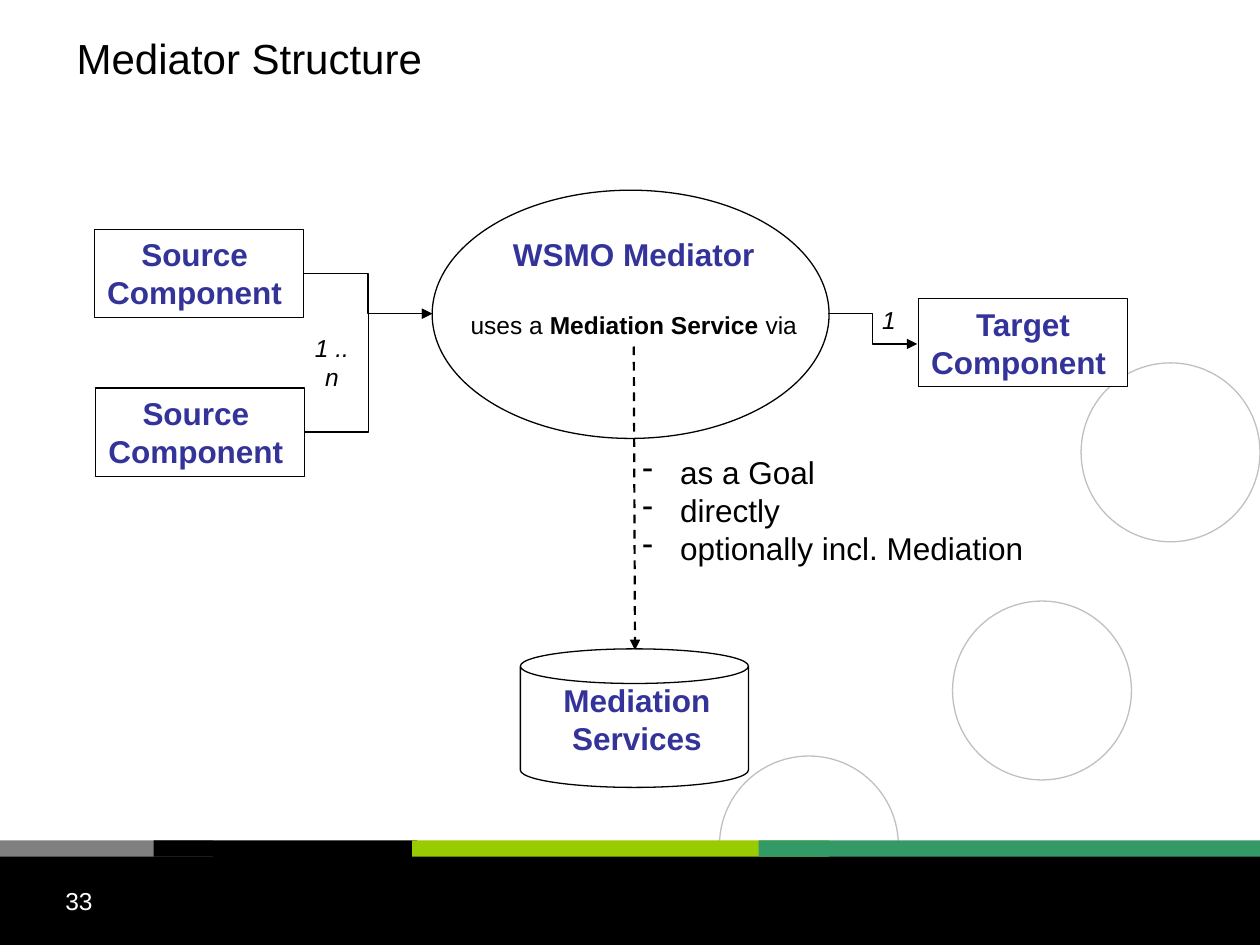
"""Build the Mediator Structure slide."""
from lxml import etree
from pptx import Presentation
from pptx import util as u
from pptx.dml import color
from pptx.enum import dml, shapes, text
from pptx.oxml import ns

Inches, Pt = u.Inches, u.Pt
C = {"black": "000000", "white": "FFFFFF", "blue": "333399", "silver": "C0C0C0",
     "gray": "808080", "lime": "99CC00", "green": "339966"}
C = {name: color.RGBColor.from_string(value) for name, value in C.items()}
MSO = shapes.MSO_SHAPE

prs = Presentation()
prs.slide_width, prs.slide_height = Inches(10), Inches(7.5)
s = prs.slides.add_slide(prs.slide_layouts[6])


def add_shape(kind, box, fill=None, line=None):
    sp = s.shapes.add_shape(kind, *map(Inches, box))
    sp.shadow.inherit = False
    if fill:
        sp.fill.solid()
        sp.fill.fore_color.rgb = C[fill]
    else:
        sp.fill.background()
    if line:
        sp.line.color.rgb = C[line]
        sp.line.width = Pt(0.75)
    else:
        sp.line.fill.background()
    return sp


def write(sp, lines, size=18, hue="black", bold=False, italic=False,
          align="CENTER", wrap=False, anchor="TOP"):
    tf = sp.text_frame
    tf.word_wrap = wrap
    tf.vertical_anchor = getattr(text.MSO_ANCHOR, anchor)
    for i, line in enumerate(lines):
        p = tf.paragraphs[0] if i == 0 else tf.add_paragraph()
        p.alignment = getattr(text.PP_ALIGN, align)
        p.add_run().text = line
        for f in (p.font, p.runs[0].font):
            f.name, f.size, f.bold, f.italic = "Arial", Pt(size), bold, italic
            f.color.rgb = C[hue]
    return tf


for x, y in [(5.71, 6), (7.56, 4.77), (8.58, 2.88)]:
    add_shape(MSO.OVAL, (x, y, 1.42, 1.42), line="silver")
add_shape(MSO.RECTANGLE, (0, 6.75, 10, 0.75), "black")
for x, w, hue in [(0, 1.69, "gray"), (1.22, 2.09, "black"),
                  (3.27, 3.31, "lime"), (6.02, 3.98, "green")]:
    add_shape(MSO.RECTANGLE, (x, 6.67, w, 0.13), hue)

add_shape(MSO.OVAL, (3.43, 1.51, 3.15, 1.97), "white", "black")
can = add_shape(MSO.CAN, (4.13, 5.15, 1.81, 1.1), "white", "black")
can.adjustments[0] = 0.25

for x, y, first in [(0.75, 1.82, "Source "), (0.76, 3.08, "Source "), (7.29, 2.37, "Target")]:
    sp = add_shape(MSO.RECTANGLE, (x, y, 1.66, 0.7), "white", "black")
    write(sp, [first, "Component "], hue="blue", bold=True)

ELBOW, STRAIGHT = shapes.MSO_CONNECTOR.ELBOW, shapes.MSO_CONNECTOR.STRAIGHT
for kind, ends, width in [(ELBOW, (2.41, 2.17, 3.43, 2.49), 0.75),
                          (ELBOW, (2.42, 3.43, 3.43, 2.49), 0.75),
                          (ELBOW, (6.57, 2.49, 7.28, 2.73), 0.75),
                          (STRAIGHT, (5.03, 2.75, 5.04, 5.16), 1.25)]:
    c = s.shapes.add_connector(kind, *map(Inches, ends))
    c.line.color.rgb = C["black"]
    c.line.width = Pt(width)
    if kind == STRAIGHT:
        c.line.dash_style = dml.MSO_LINE.DASH
    etree.SubElement(c.line._get_or_add_ln(), ns.qn("a:tailEnd"), type="triangle")
    etree.SubElement(c._element.spPr, ns.qn("a:effectLst"))

LEFT = {"align": "LEFT", "wrap": True}
frames = {}
for name, box, lines, style in [
    ("mediator", (3.61, 1.82, 2.84, 0.94), ["WSMO Mediator"], {"hue": "blue", "bold": True}),
    ("sources", (2.32, 2.59, 0.63, 0.34), ["1 .. n"], {"size": 14, "italic": True}),
    ("target", (6.9, 2.37, 0.31, 0.34), ["1"], {"size": 14, "italic": True}),
    ("services", (4.34, 5.36, 1.43, 0.7), ["Mediation ", "Services"],
     {"hue": "blue", "bold": True}),
    ("options", (5, 3.55, 3.78, 1), ["as a Goal", "directly", "optionally incl. Mediation"], LEFT),
    ("title", (0.51, 0, 7.83, 0.92), ["Mediator Structure"],
     {"size": 24, "anchor": "MIDDLE", **LEFT}),
    ("number", (0.42, 6.98, 2.33, 0.52), ["33"], {"size": 14, "hue": "white", **LEFT}),
]:
    frames[name] = write(s.shapes.add_textbox(*map(Inches, box)), lines, **style)

p = frames["mediator"].add_paragraph()
p.alignment = text.PP_ALIGN.CENTER
p.space_before = Pt(21)
p.font.name, p.font.size = "Arial", Pt(14)
p.font.color.rgb = C["black"]
for words, bold in [("uses a ", False), ("Mediation Service ", True), ("via ", False)]:
    r = p.add_run()
    r.text = words
    r.font.name, r.font.size, r.font.bold = "Arial", Pt(14), bold
    r.font.color.rgb = C["black"]

for p in frames["options"].paragraphs:
    pPr = p._p.get_or_add_pPr()
    pPr.set("marL", str(Inches(0.3)))
    pPr.set("indent", str(-Inches(0.3)))
    bullet = etree.Element(ns.qn("a:buChar"), char="-")
    pPr.insert(0, bullet)

prs.save("out.pptx")
